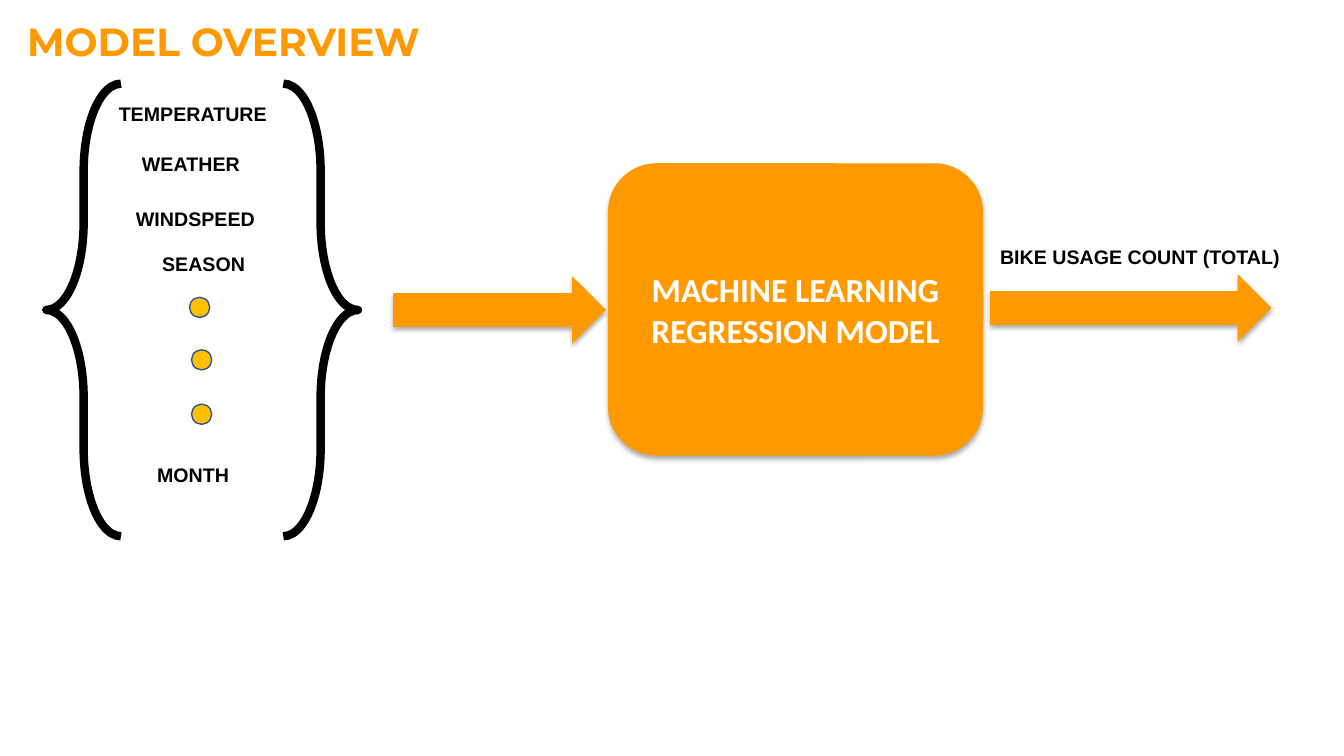
from lxml.etree import SubElement
from pptx import Presentation
from pptx.dml.color import RGBColor
from pptx.enum.shapes import MSO_SHAPE
from pptx.enum.text import MSO_ANCHOR, MSO_AUTO_SIZE, PP_ALIGN
from pptx.oxml.ns import qn
from pptx.util import Emu, Pt

PX = 9144
ORANGE, AMBER, BLUE, BLACK, WHITE = "FF9900", "FFC000", "325491", "000000", "FFFFFF"


def px(length):
    return Emu(length * PX)


def colour(code):
    return RGBColor.from_string(code)


def style_text(paragraph, font_name, size, code, align=PP_ALIGN.LEFT):
    paragraph.alignment = align
    font = paragraph.font
    font.name, font.size, font.bold = font_name, Pt(size), True
    font.color.rgb = colour(code)


def add_figure(slide, preset, box, fill=None, line=None, line_width=1):
    figure = slide.shapes.add_shape(preset, *map(px, box))
    figure.shadow.inherit = False
    if fill:
        figure.fill.solid()
        figure.fill.fore_color.rgb = colour(fill)
    else:
        figure.fill.background()
    if line:
        figure.line.color.rgb = colour(line)
        figure.line.width = Pt(line_width)
    else:
        figure.line.fill.background()
    return figure


def add_raised(slide, preset, box):
    figure = add_figure(slide, preset, box, ORANGE)
    effects = figure.element.spPr.find(qn("a:effectLst"))
    shadow = SubElement(effects, qn("a:outerShdw"), blurRad="44450", dist="27940",
                        dir="5400000", algn="ctr", rotWithShape="0")
    black = SubElement(shadow, qn("a:srgbClr"), val=BLACK)
    SubElement(black, qn("a:alpha"), val="32000")
    return figure


def add_label(slide, text, box):
    label = slide.shapes.add_textbox(*map(px, box)).text_frame
    label.word_wrap = False
    label.auto_size = MSO_AUTO_SIZE.SHAPE_TO_FIT_TEXT
    label.text = text
    style_text(label.paragraphs[0], "Arial", 14, BLACK)


def add_heading(slide, box):
    title = slide.shapes.title
    title.left, title.top, title.width, title.height = map(px, box)
    frame = title.text_frame
    frame.text = "MODEL OVERVIEW"
    frame.word_wrap = True
    frame.auto_size = MSO_AUTO_SIZE.SHAPE_TO_FIT_TEXT
    frame.vertical_anchor = MSO_ANCHOR.TOP
    style_text(frame.paragraphs[0], "Montserrat", 28, ORANGE)


def add_features(slide, box):
    left, top, width, height = box
    brace_width = 74
    for brace_left, rotation in ((left, 0), (left + width - brace_width, 180)):
        brace = add_figure(slide, MSO_SHAPE.LEFT_BRACE,
                           (brace_left, top, brace_width, height), line=BLACK, line_width=6)
        brace.adjustments[0] = 1.173
        brace.rotation = rotation
    features = (("TEMPERATURE", 62, 13, 170), ("WEATHER", 85, 63, 120),
                ("WINDSPEED", 79, 117, 139), ("SEASON", 105, 162, 103),
                ("MONTH", 100, 371, 92))
    for text, dx, dy, label_width in features:
        add_label(slide, text, (left + dx, top + dy, label_width, 34))
    for dx, dy in ((142, 212), (144, 264), (144, 318)):
        add_figure(slide, MSO_SHAPE.OVAL, (left + dx, top + dy, 20, 20), AMBER, BLUE)


def add_model(slide, box):
    model = add_raised(slide, MSO_SHAPE.ROUNDED_RECTANGLE, box).text_frame
    model.text = "MACHINE LEARNING REGRESSION MODEL"
    model.word_wrap = True
    model.vertical_anchor = MSO_ANCHOR.MIDDLE
    style_text(model.paragraphs[0], "Calibri", 24, WHITE, PP_ALIGN.CENTER)


def add_output(slide, box):
    left, top, width, height = box
    arrow_height = 67
    add_raised(slide, MSO_SHAPE.RIGHT_ARROW,
               (left, top + height - arrow_height, 279, arrow_height))
    add_label(slide, "BIKE USAGE COUNT (TOTAL)", (left, top, width, 34))


def main():
    deck = Presentation()
    deck.slide_width, deck.slide_height = px(1333), px(750)
    slide = deck.slides.add_slide(deck.slide_layouts[5])
    add_heading(slide, (17, 12, 1006, 57))
    add_features(slide, (46, 83, 309, 449))
    add_raised(slide, MSO_SHAPE.RIGHT_ARROW, (390, 274, 211, 67))
    add_model(slide, (603, 162, 372, 290))
    add_output(slide, (982, 238, 301, 101))
    deck.save("out.pptx")


if __name__ == "__main__":
    main()
